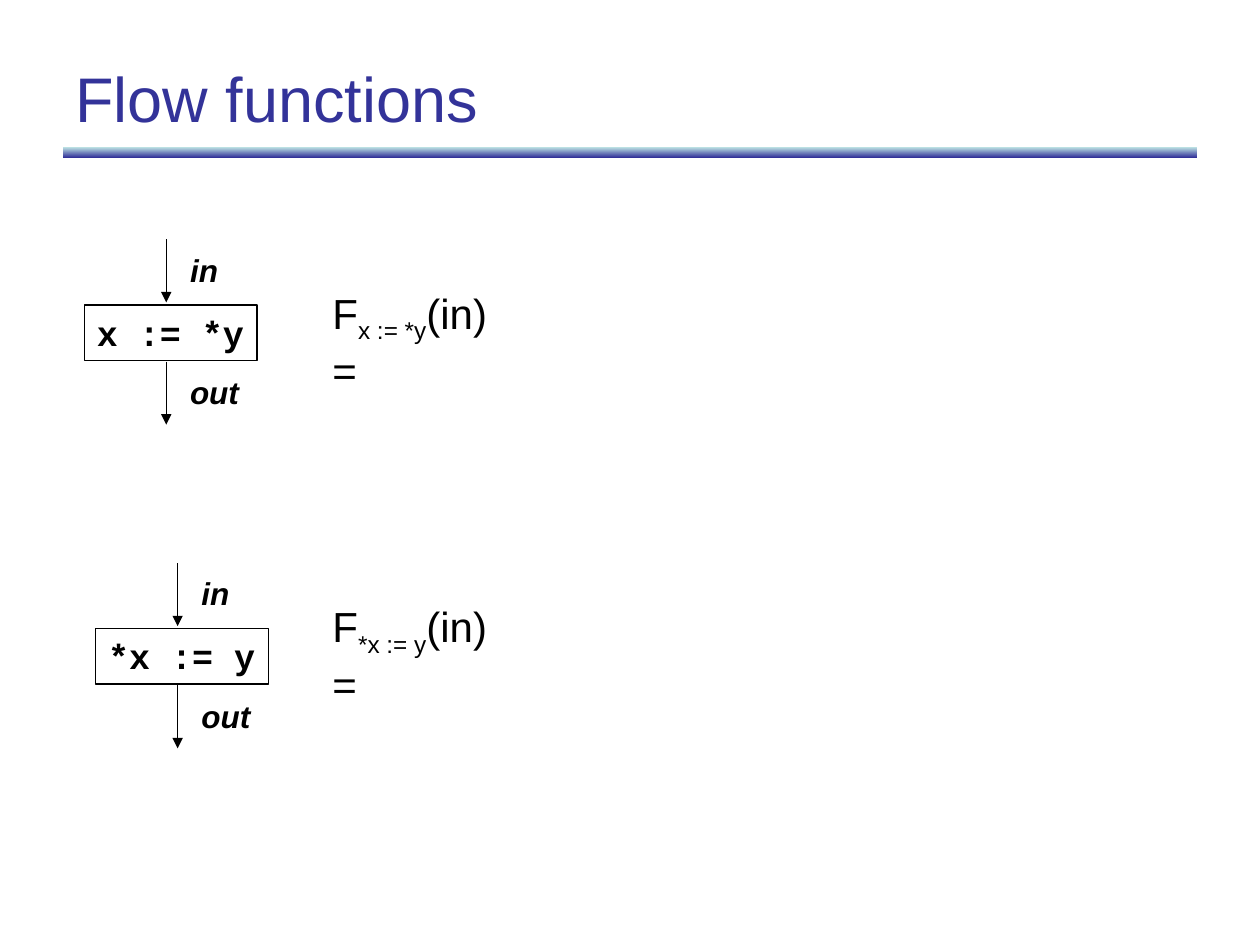
import pptx
import pptx.dml.color
import pptx.enum.dml
import pptx.enum.shapes
import pptx.enum.text
import pptx.oxml.ns
import pptx.util
from lxml import etree

Inches = pptx.util.Inches
Pt = pptx.util.Pt
ANCHOR = pptx.enum.text.MSO_ANCHOR
RECTANGLE = pptx.enum.shapes.MSO_SHAPE.RECTANGLE
qn = pptx.oxml.ns.qn

BLACK = pptx.dml.color.RGBColor(0x00, 0x00, 0x00)
NAVY = pptx.dml.color.RGBColor(0x33, 0x33, 0x99)
PALE_TEAL = pptx.dml.color.RGBColor(0xBB, 0xE0, 0xE3)


def format_span(span, size, color=BLACK, name="Arial", bold=False, italic=False):
    font = span.font
    font.name, font.size = name, Pt(size)
    font.bold, font.italic = bold, italic
    font.color.rgb = color


def write_line(box, text, size, anchor=ANCHOR.TOP, wrap=False, **style):
    frame = box.text_frame
    frame.text = text
    frame.word_wrap = wrap
    frame.vertical_anchor = anchor
    para = frame.paragraphs[0]
    para.alignment = pptx.enum.text.PP_ALIGN.LEFT
    format_span(para.runs[0], size, **style)
    return para


def add_label(page, left, top, width, height, text, size, **style):
    box = page.shapes.add_textbox(
        Inches(left), Inches(top), Inches(width), Inches(height))
    return write_line(box, text, size, **style)


def add_down_arrow(page, x, top, length):
    arrow = page.shapes.add_connector(
        pptx.enum.shapes.MSO_CONNECTOR.STRAIGHT,
        Inches(x), Inches(top), Inches(x), Inches(top + length))
    arrow.line.color.rgb = BLACK
    arrow.line.width = Pt(0.75)
    line = arrow.line._get_or_add_ln()
    etree.SubElement(line, qn("a:tailEnd"), type="triangle")
    etree.SubElement(arrow._element.spPr, qn("a:effectLst"))


def add_header(page, left, top, width, height):
    # Gradient rule under the title
    rule = page.shapes.add_shape(
        RECTANGLE, Inches(left), Inches(top + 0.87), Inches(width), Inches(0.08))
    rule.shadow.inherit = False
    rule.line.fill.background()
    rule.fill.gradient()
    rule.fill.gradient_angle = 270
    for stop, position, color in zip(
            rule.fill.gradient_stops, (0, 1), (PALE_TEAL, NAVY)):
        stop.position = position
        stop.color.rgb = color

    # Title
    add_label(page, left, top, width, height, "Flow functions", 36,
              color=NAVY, anchor=ANCHOR.MIDDLE, wrap=True)


def add_statement(page, left, top, code):
    # Statement box
    box = page.shapes.add_shape(
        RECTANGLE, Inches(left), Inches(top + 0.52), Inches(1.37), Inches(0.44))
    box.shadow.inherit = False
    box.fill.background()
    box.line.color.rgb = BLACK
    box.line.width = Pt(0.75)
    write_line(box, code, 20, name="Courier New", bold=True)

    # Flow in above, flow out below
    for text, offset, width in (("in", 0, 0.42), ("out", 0.97, 0.59)):
        add_down_arrow(page, left + 0.65, top + offset, 0.5)
        add_label(page, left + 0.74, top + offset + 0.04, width, 0.4,
                  text, 18, bold=True, italic=True)


def add_formula(page, left, top, code):
    para = add_label(page, left, top, 1.71, 0.56, "F", 24)
    for text, baseline in ((code, "-25000"), ("(in) =", "0")):
        span = para.add_run()
        span.text = text
        format_span(span, 24)
        span.font._element.set("baseline", baseline)


def main():
    deck = pptx.Presentation()
    deck.slide_width, deck.slide_height = Inches(10), Inches(7.5)
    page = deck.slides.add_slide(deck.slide_layouts[6])

    add_header(page, 0.5, 0.3, 9, 0.95)
    for code, left, top, formula_top in (
            ("x := *y", 0.67, 1.9, 2.23),
            ("*x := y", 0.76, 4.47, 4.72)):
        add_statement(page, left, top, code)
        add_formula(page, 2.54, formula_top, code)

    deck.save("out.pptx")


if __name__ == "__main__":
    main()
